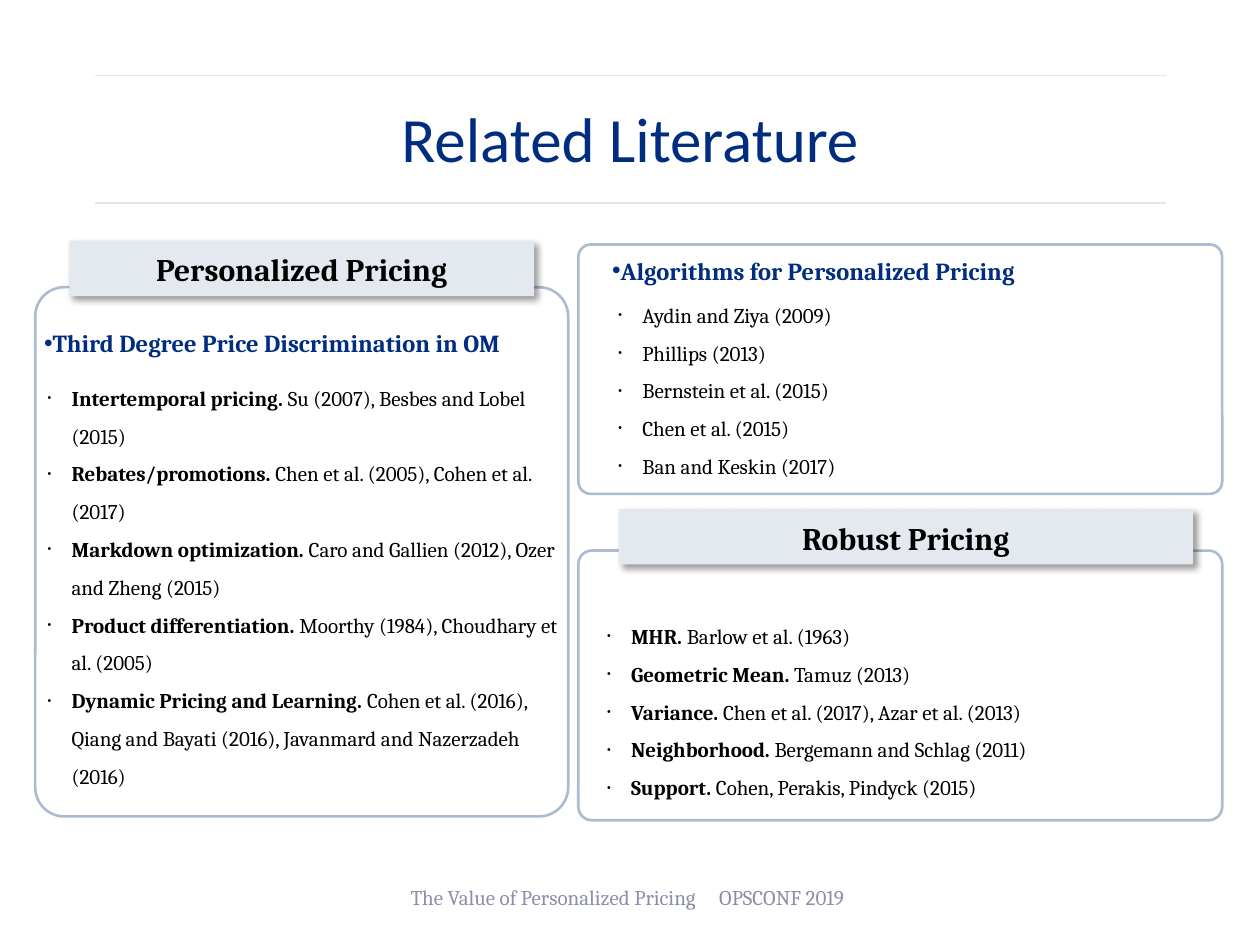
"""Build the Related Literature slide with its three panels of references."""
from lxml.etree import SubElement
from pptx import Presentation
from pptx.dml.color import RGBColor
from pptx.enum.shapes import MSO_CONNECTOR, MSO_SHAPE
from pptx.enum.text import MSO_ANCHOR, PP_ALIGN
from pptx.oxml.ns import qn
from pptx.util import Inches, Pt

THEME = {
    "navy": RGBColor.from_string("002D80"),
    "black": RGBColor.from_string("000000"),
    "muted": RGBColor.from_string("8C8FAC"),
    "banner": RGBColor.from_string("E3E9EF"),
    "border": RGBColor.from_string("ACBCD0"),
    "rule": RGBColor.from_string("E7E6E6"),
    "title_size": Pt(36), "banner_size": Pt(18),
    "heading_size": Pt(14), "body_size": Pt(12),
    "title_font": "Calibri", "body_font": "Cambria",
}

TITLE = ("Related Literature", (0.69, 0.4, 8.62, 1.45))
FOOTER = ("The Value of Personalized Pricing\tOPSCONF 2019", (3.16, 6.92, 3.68, 0.4))
FOOTER_TAB = 2.45
RULES = {"left": 0.75, "right": 9.25, "tops": (0.6, 1.61)}

PANELS = [
    ((0.28, 2.28, 4.23, 4.2), 0.055),
    ((4.59, 1.94, 5.11, 1.98), 0.05),
    ((4.59, 4.37, 5.11, 2.14), 0.05),
]
BANNERS = [
    ("Personalized Pricing", (0.55, 1.91, 3.69, 0.44), 2),
    ("Robust Pricing", (4.91, 4.04, 4.56, 0.44), 0),
]
HEADINGS = [
    ("Third Degree Price Discrimination in OM", (0.2, 2.49, 4.4, 0.64), (0.15, 0.2, 0.1, 0.2)),
    ("Algorithms for Personalized Pricing", (4.76, 1.98, 4.36, 0.34), (0.1, 0.05, 0.1, 0.05)),
]
REFERENCES = [
    ((0.28, 2.91, 4.26, 4.24), [
        ("Intertemporal pricing. ", "Su (2007), Besbes and Lobel (2015)"),
        ("Rebates/promotions. ", "Chen et al. (2005), Cohen et al. (2017)"),
        ("Markdown optimization. ", "Caro and Gallien (2012), Ozer and Zheng (2015)"),
        ("Product differentiation. ", "Moorthy (1984), Choudhary et al. (2005)"),
        ("Dynamic Pricing and Learning.",
         " Cohen et al. (2016), Qiang and Bayati (2016), Javanmard and Nazerzadeh (2016)"),
    ]),
    ((4.81, 2.25, 3.76, 2.52), [
        ("", "Aydin and Ziya (2009)"),
        ("", "Phillips (2013)"),
        ("", "Bernstein et al. (2015)"),
        ("", "Chen et al. (2015)"),
        ("", "Ban and Keskin (2017)"),
    ]),
    ((4.72, 4.8, 5.03, 2.52), [
        ("MHR. ", "Barlow et al. (1963)"),
        ("Geometric Mean. ", "Tamuz (2013)"),
        ("Variance.", " Chen et al. (2017), Azar et al. (2013)"),
        ("Neighborhood. ", "Bergemann and Schlag (2011)"),
        ("Support.", " Cohen, Perakis, Pindyck (2015)"),
    ]),
]


def apply(target, **formats):
    for name, value in formats.items():
        setattr(target, name, value)


def add_xml(parent, tag, **attributes):
    return SubElement(parent, qn(tag), {key: str(value) for key, value in attributes.items()})


def style_frame(frame, anchor=MSO_ANCHOR.TOP, insets=(0.1, 0.05, 0.1, 0.05)):
    left, top, right, bottom = map(Inches, insets)
    apply(frame, word_wrap=True, vertical_anchor=anchor, margin_left=left,
          margin_top=top, margin_right=right, margin_bottom=bottom)
    return frame


def add_frame(slide, box, **frame_style):
    return style_frame(slide.shapes.add_textbox(*map(Inches, box)).text_frame, **frame_style)


def write(paragraph, text, color, size, font="body_font", bold=False):
    run = paragraph.add_run()
    run.text = text
    apply(run.font, name=THEME[font], size=THEME[size], bold=bold)
    run.font.color.rgb = THEME[color]


def add_bullet(paragraph, percent=100, indent=0):
    properties = paragraph._p.get_or_add_pPr()
    properties.set("marL", str(Inches(indent)))
    properties.set("indent", str(-Inches(indent)))
    add_xml(properties, "a:buSzPct", val=percent * 1000)
    add_xml(properties, "a:buFont", typeface="Arial")
    add_xml(properties, "a:buChar", char="•")


def add_rule(slide, top):
    rule = slide.shapes.add_connector(
        MSO_CONNECTOR.STRAIGHT, Inches(RULES["left"]), Inches(top),
        Inches(RULES["right"]), Inches(top))
    rule.line.color.rgb = THEME["rule"]
    rule.line.width = Pt(1)
    add_xml(rule._element.spPr, "a:effectLst")


def add_panel(slide, box, rounding):
    panel = slide.shapes.add_shape(MSO_SHAPE.ROUNDED_RECTANGLE, *map(Inches, box))
    panel.adjustments[0] = rounding
    panel.shadow.inherit = False
    panel.fill.background()
    panel.line.color.rgb = THEME["border"]
    panel.line.width = Pt(1.5)


def add_banner(slide, text, box, space_before):
    banner = slide.shapes.add_shape(MSO_SHAPE.RECTANGLE, *map(Inches, box))
    banner.shadow.inherit = False
    banner.fill.solid()
    banner.fill.fore_color.rgb = THEME["banner"]
    banner.line.fill.background()
    effects = banner._element.spPr.find(qn("a:effectLst"))
    shadow = add_xml(effects, "a:outerShdw", blurRad=Pt(4), dist=Pt(3),
                     dir=45 * 60000, algn="tl", rotWithShape=0)
    add_xml(add_xml(shadow, "a:srgbClr", val=THEME["black"]), "a:alpha", val=40000)
    label = style_frame(banner.text_frame, MSO_ANCHOR.MIDDLE, (0.1, 0.15, 0.1, 0.1)).paragraphs[0]
    apply(label, alignment=PP_ALIGN.CENTER, line_spacing=0.9, space_before=Pt(space_before))
    write(label, text, "black", "banner_size", bold=True)


def add_heading(slide, text, box, insets):
    heading = add_frame(slide, box, insets=insets).paragraphs[0]
    apply(heading, space_before=Pt(6), space_after=Pt(3))
    add_bullet(heading)
    write(heading, text, "navy", "heading_size", bold=True)


def add_references(slide, box, entries):
    frame = add_frame(slide, box)
    for position, (topic, citations) in enumerate(entries):
        entry = frame.add_paragraph() if position else frame.paragraphs[0]
        entry.line_spacing = 1.5
        add_bullet(entry, percent=50, indent=0.19)
        if topic:
            write(entry, topic, "black", "body_size", bold=True)
        write(entry, citations, "black", "body_size")


def add_title(slide, text, box):
    title = add_frame(slide, box, anchor=MSO_ANCHOR.MIDDLE).paragraphs[0]
    apply(title, alignment=PP_ALIGN.CENTER, line_spacing=0.9)
    write(title, text, "navy", "title_size", "title_font")


def add_footer(slide, text, box):
    footer = add_frame(slide, box, anchor=MSO_ANCHOR.MIDDLE).paragraphs[0]
    tabs = add_xml(footer._p.get_or_add_pPr(), "a:tabLst")
    add_xml(tabs, "a:tab", pos=Inches(FOOTER_TAB), algn="l")
    write(footer, text, "muted", "body_size")


def main():
    deck = Presentation()
    apply(deck, slide_width=Inches(10), slide_height=Inches(7.5))
    slide = deck.slides.add_slide(deck.slide_layouts[6])
    for top in RULES["tops"]:
        add_rule(slide, top)
    add_title(slide, *TITLE)
    for add_part, parts in ((add_panel, PANELS), (add_banner, BANNERS),
                            (add_heading, HEADINGS), (add_references, REFERENCES)):
        for part in parts:
            add_part(slide, *part)
    add_footer(slide, *FOOTER)
    deck.save("out.pptx")


if __name__ == "__main__":
    main()
